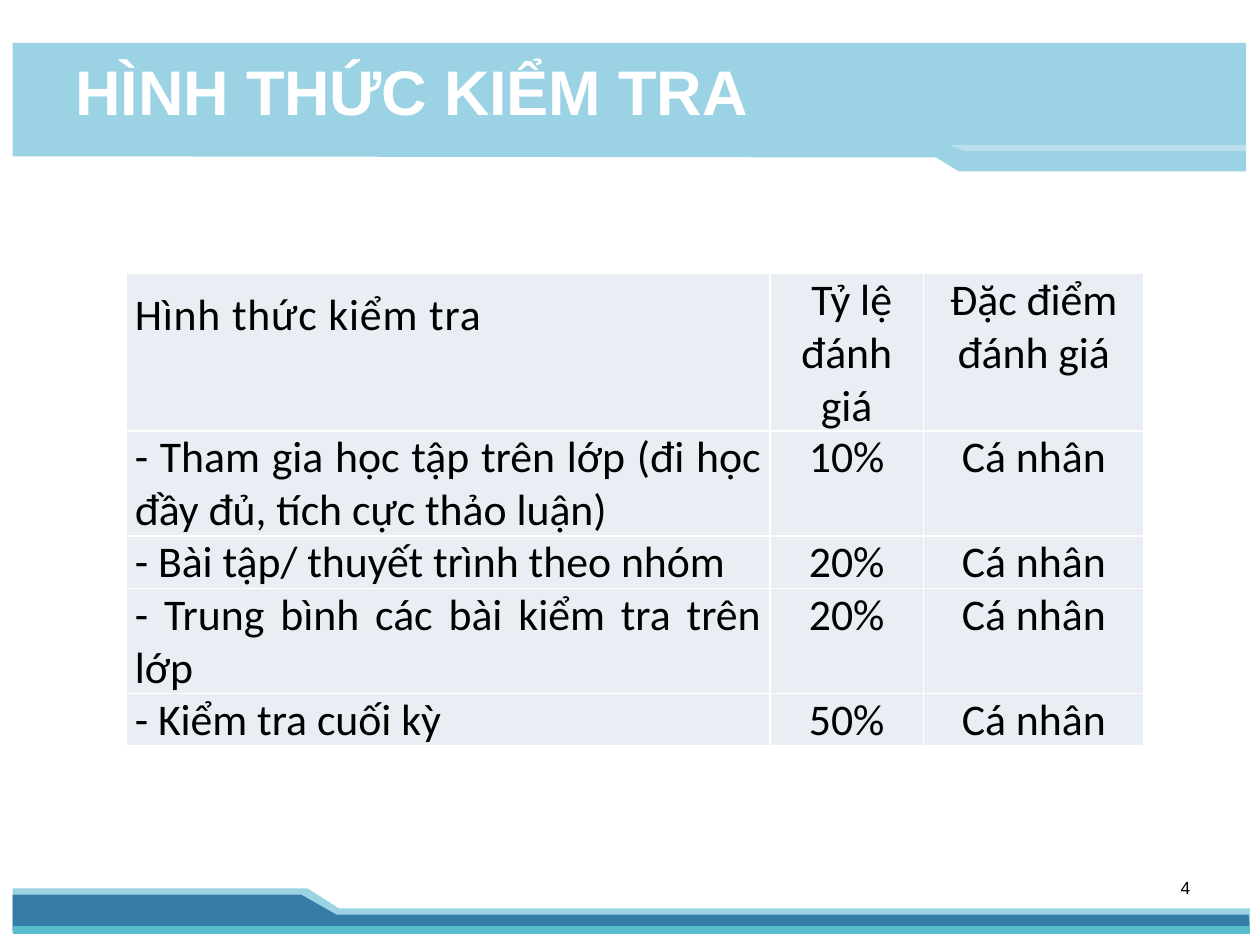
from lxml import etree
from pptx import Presentation
from pptx.dml.color import RGBColor
from pptx.enum.text import MSO_ANCHOR, PP_ALIGN
from pptx.oxml.ns import qn
from pptx.util import Inches, Pt

TOP = MSO_ANCHOR.TOP
LEFT, MID, JUST = PP_ALIGN.LEFT, PP_ALIGN.CENTER, PP_ALIGN.JUSTIFY

# Grid: 100 columns by 75 rows
COLS, ROWS = 100, 75
UNIT = Inches(0.1)

HUES = {
    "sky": "9BD2E4",
    "blue": "357CA9",
    "teal": "57BDCC",
    "white": "FFFFFF",
    "black": "000000",
    "cell": "E9EDF4",
}

HEADS = ["Hình thức kiểm tra", " Tỷ lệ đánh giá", "Đặc điểm đánh giá"]
TASKS = [
    ("- Tham gia học tập trên lớp (đi học đầy đủ, tích cực thảo luận)", "10%"),
    ("- Bài tập/ thuyết trình theo nhóm", "20%"),
    ("- Trung bình các bài kiểm tra trên lớp", "20%"),
    ("- Kiểm tra cuối kỳ", "50%"),
]
KIND = "Cá nhân"


def grid(num):
    return int(round(num * UNIT))


def hue(name):
    return RGBColor.from_string(HUES[name])


def band(slide, box, dots, name, alpha=None):
    """Draw a filled outline whose points are offsets from the box corner."""
    spots = [(grid(box[0] + x), grid(box[1] + y)) for x, y in dots]
    pen = slide.shapes.build_freeform(*spots[0])
    pen.add_line_segments(spots[1:], close=True)
    shape = pen.convert_to_shape()
    shape.shadow.inherit = False
    shape.fill.solid()
    shape.fill.fore_color.rgb = hue(name)
    shape.line.fill.background()
    if alpha:
        color = shape.fill._xPr.find(qn("a:solidFill"))[0]
        etree.SubElement(color, qn("a:alpha"), val=str(alpha * 1000))


def style(para, font, size, name, align=LEFT, bold=False):
    para.alignment = align
    para.font.name = font
    para.font.size = Pt(size)
    para.font.bold = bold
    para.font.color.rgb = hue(name)


def track(para, points):
    for run in para.runs:
        run.font._element.set("spc", str(int(points * 100)))


def label(slide, box, text, size, name, bold=False):
    frame = slide.shapes.add_textbox(*map(grid, box)).text_frame
    frame.margin_left = frame.margin_right = 0
    frame.margin_top = frame.margin_bottom = 0
    frame.word_wrap = False
    frame.vertical_anchor = TOP
    para = frame.paragraphs[0]
    para.text = text
    style(para, "Arial", size, name, bold=bold)
    track(para, -0.1)


def header(slide, box):
    _, _, wide, high = box
    band(slide, box, [(wide, 0), (0, 0), (0, 9), (73.3, 9.1),
                      (75.1, high), (wide, high)], "sky")
    band(slide, box, [(wide, 8.1), (74.4, 8.1), (75.5, 8.6), (wide, 8.6)],
         "white", 30)
    label(slide, (box[0] + 5, box[1] + 0.8, 54, 6.3),
          "HÌNH THỨC KIỂM TRA", 36, "white", True)


def footer(slide, box):
    _, _, wide, high = box
    band(slide, box, [(0, 0), (0, 3.4), (wide, 3.4), (wide, 1.6),
                      (25.9, 1.6), (23.4, 0)], "sky")
    band(slide, box, [(0, 0.5), (0, 3.5), (wide, 3.4), (wide - 0.1, 2.1),
                      (25.7, 2.1), (22.9, 0.5)], "blue")
    band(slide, box, [(wide, 3), (0, 3), (0, high), (wide, high)], "teal")
    label(slide, (box[0] + 92.7, box[1] - 0.9, 1.2, 1.8), "4", 10, "black")


def edge(cell):
    """Give a cell thin white borders, placed ahead of its fill."""
    props = cell._tc.get_or_add_tcPr()
    for spot, side in enumerate(("lnL", "lnR", "lnT", "lnB")):
        line = etree.Element(qn("a:" + side), w=str(Pt(1)))
        fill = etree.SubElement(line, qn("a:solidFill"))
        etree.SubElement(fill, qn("a:srgbClr"), val=HUES["white"])
        props.insert(spot, line)


def marks(slide, box):
    data = [HEADS] + [[task, share, KIND] for task, share in TASKS]
    table = slide.shapes.add_table(len(data), len(HEADS),
                                   *map(grid, box)).table
    table.first_row = table.horz_banding = False
    for col, wide in zip(table.columns, (51.1, 12.2, 17.5)):
        col.width = grid(wide)
    for row, lines in zip(table.rows, (3, 2, 1, 2, 1)):
        row.height = grid(box[3] * lines / 9)

    for row, texts in zip(table.rows, data):
        for spot, (cell, text) in enumerate(zip(row.cells, texts)):
            cell.margin_left = cell.margin_right = grid(0.7)
            cell.margin_top = cell.margin_bottom = 0
            cell.vertical_anchor = TOP
            cell.fill.solid()
            cell.fill.fore_color.rgb = hue("cell")
            edge(cell)
            para = cell.text_frame.paragraphs[0]
            para.text = text
            style(para, "Calibri", 25, "black", MID if spot else JUST)

    # Looser first heading
    para = table.cell(0, 0).text_frame.paragraphs[0]
    para.line_spacing = 1.3
    para.space_before = Pt(6)
    track(para, 0.5)


def main():
    deck = Presentation()
    deck.slide_width, deck.slide_height = grid(COLS), grid(ROWS)
    slide = deck.slides.add_slide(deck.slide_layouts[6])
    footer(slide, (1, 70.5, 98.2, 3.6))
    header(slide, (1, 3.4, 97.9, 10.2))
    marks(slide, (10, 21.7, 80.8, 37.3))
    deck.save("out.pptx")


if __name__ == "__main__":
    main()
